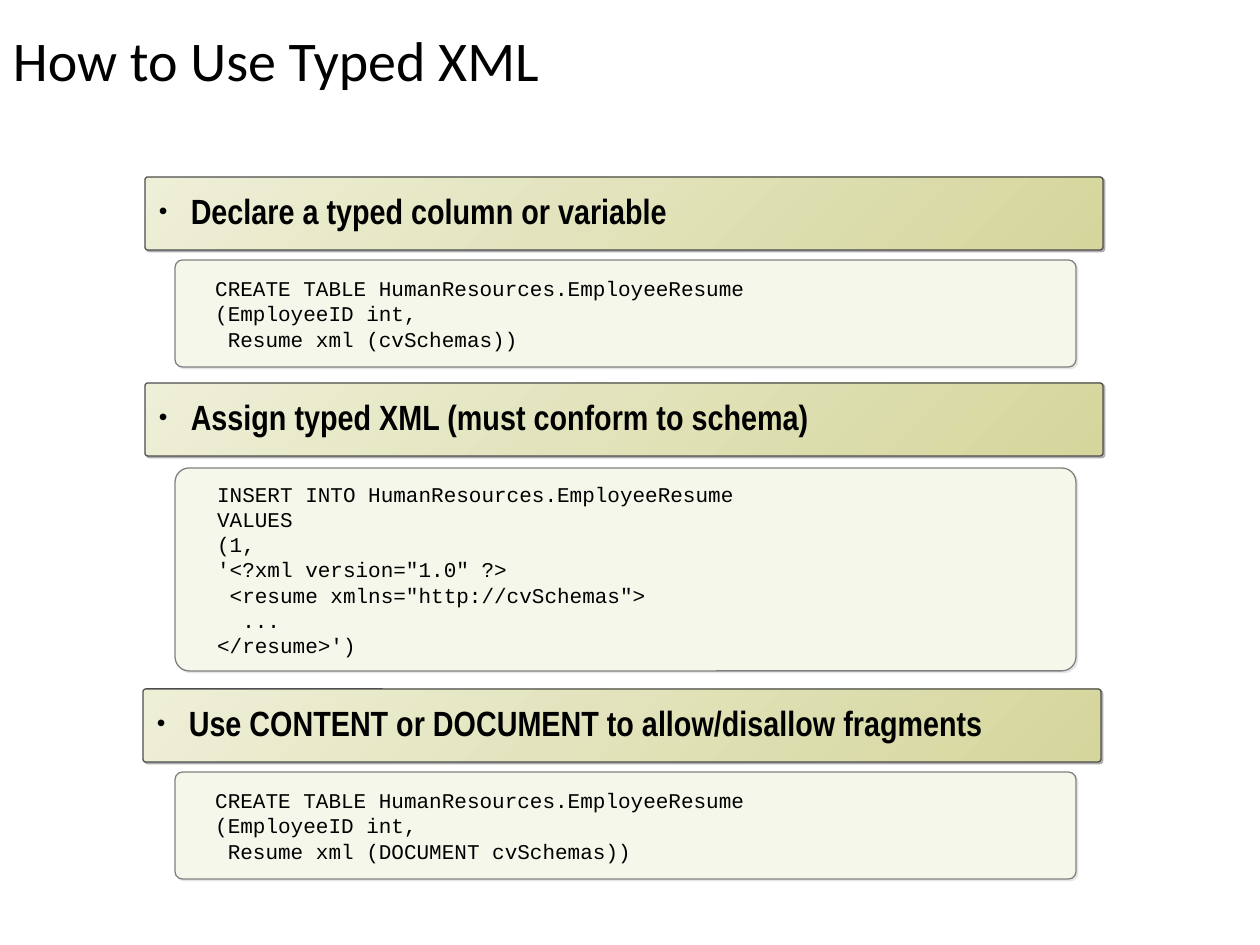
from dataclasses import dataclass

from lxml.etree import SubElement
from pptx import Presentation
from pptx.dml.color import RGBColor as Rgb
from pptx.enum.shapes import MSO_SHAPE as Shape
from pptx.enum.text import MSO_ANCHOR as Anchor, PP_ALIGN as Align
from pptx.oxml.ns import qn
from pptx.util import Emu, Pt


@dataclass(frozen=True)
class Font:
    name: str
    size: int
    bold: bool = False


@dataclass(frozen=True)
class Theme:
    ink: str = "000000"
    light: str = "EEEFD7"
    dark: str = "D5D69C"
    pale: str = "F6F7EB"
    edge: str = "4D4D4D"
    rim: str = "808080"
    shade: str = "AFAFAF"
    haze: str = "E7E6E6"
    title: Font = Font("Calibri", 32)
    head: Font = Font("Arial Narrow", 20, True)
    code: Font = Font("Courier New", 12)


@dataclass(frozen=True)
class Box:
    left: int
    top: int
    width: int
    height: int


@dataclass(frozen=True)
class Step:
    head: str
    code: str
    bar: Box
    panel: Box


THEME = Theme()
STEPS = (
    Step("Declare a typed column or variable",
         "CREATE TABLE HumanResources.EmployeeResume\n"
         "(EmployeeID int,\n"
         " Resume xml (cvSchemas))",
         Box(145, 177, 958, 73), Box(175, 260, 901, 107)),
    Step("Assign typed XML (must conform to schema)",
         "INSERT INTO HumanResources.EmployeeResume\n"
         "VALUES\n"
         "(1,\n"
         "'<?xml version=\"1.0\" ?>\n"
         " <resume xmlns=\"http://cvSchemas\">\n"
         "  ...\n"
         "</resume>')",
         Box(145, 383, 958, 73), Box(175, 468, 901, 203)),
    Step("Use CONTENT or DOCUMENT to allow/disallow fragments",
         "CREATE TABLE HumanResources.EmployeeResume\n"
         "(EmployeeID int,\n"
         " Resume xml (DOCUMENT cvSchemas))",
         Box(143, 689, 958, 73), Box(175, 772, 901, 107)),
)


def px(n: int) -> Emu:
    return Emu(round(n * 914400 / 126))


def place(box: Box) -> tuple[Emu, Emu, Emu, Emu]:
    return px(box.left), px(box.top), px(box.width), px(box.height)


def write(shape, text: str, font: Font, inset: int = 13) -> list:
    """Fill the shape with one paragraph per line and return the paragraphs."""
    frame = shape.text_frame
    frame.word_wrap = True
    frame.vertical_anchor = Anchor.MIDDLE
    frame.margin_left, frame.margin_right = px(inset), px(13)
    frame.margin_top = frame.margin_bottom = px(6)
    for i, line in enumerate(text.split("\n")):
        para = frame.add_paragraph() if i else frame.paragraphs[0]
        para.alignment = Align.LEFT
        run = para.add_run()
        run.text = line
        run.font.name, run.font.size = font.name, Pt(font.size)
        run.font.bold = font.bold
        run.font.color.rgb = Rgb.from_string(THEME.ink)
    return list(frame.paragraphs)


def add_card(slide, box: Box, curve: float, edge: str, shade: str):
    """Add a rounded box with a thin outline and a hard offset shadow."""
    card = slide.shapes.add_shape(Shape.ROUNDED_RECTANGLE, *place(box))
    card.adjustments[0] = curve
    card.line.color.rgb = Rgb.from_string(edge)
    card.line.width = Pt(0.75)
    card.shadow.inherit = False
    effects = card._element.spPr.find(qn("a:effectLst"))
    drop = SubElement(effects, qn("a:outerShdw"), blurRad="0",
                      dist=str(Pt(1.4)), dir="2700000", algn="ctr", rotWithShape="0")
    SubElement(drop, qn("a:srgbClr"), val=shade)
    return card


def add_bullet(para) -> None:
    props = para._p.get_or_add_pPr()
    props.set("marL", str(px(32)))
    props.set("indent", str(-px(32)))
    tint = SubElement(props, qn("a:buClr"))
    SubElement(tint, qn("a:srgbClr"), val=THEME.ink)
    SubElement(props, qn("a:buSzPct"), val="70000")
    SubElement(props, qn("a:buFont"), typeface="Arial")
    SubElement(props, qn("a:buChar"), char="•")


def add_bar(slide, box: Box, text: str) -> None:
    bar = add_card(slide, box, 0.04, THEME.edge, THEME.shade)
    bar.fill.gradient()
    bar.fill.gradient_angle = 315
    for stop, tone in zip(bar.fill.gradient_stops, (THEME.light, THEME.dark)):
        stop.color.rgb = Rgb.from_string(tone)
    para = write(bar, text, THEME.head)[0]
    add_bullet(para)
    para.line_spacing = 0.9


def add_panel(slide, box: Box, code: str) -> None:
    panel = add_card(slide, box, 0.07, THEME.rim, THEME.haze)
    panel.fill.solid()
    panel.fill.fore_color.rgb = Rgb.from_string(THEME.pale)
    write(panel, code, THEME.code, inset=38)


def main() -> None:
    deck = Presentation()
    deck.slide_width, deck.slide_height = px(1260), px(945)
    slide = deck.slides.add_slide(deck.slide_layouts[6])
    title = slide.shapes.add_textbox(*place(Box(0, 0, 1042, 126)))
    write(title, "How to Use Typed XML", THEME.title)[0].line_spacing = 0.9
    for step in STEPS:
        add_bar(slide, step.bar, step.head)
        add_panel(slide, step.panel, step.code)
    deck.save("out.pptx")


if __name__ == "__main__":
    main()
